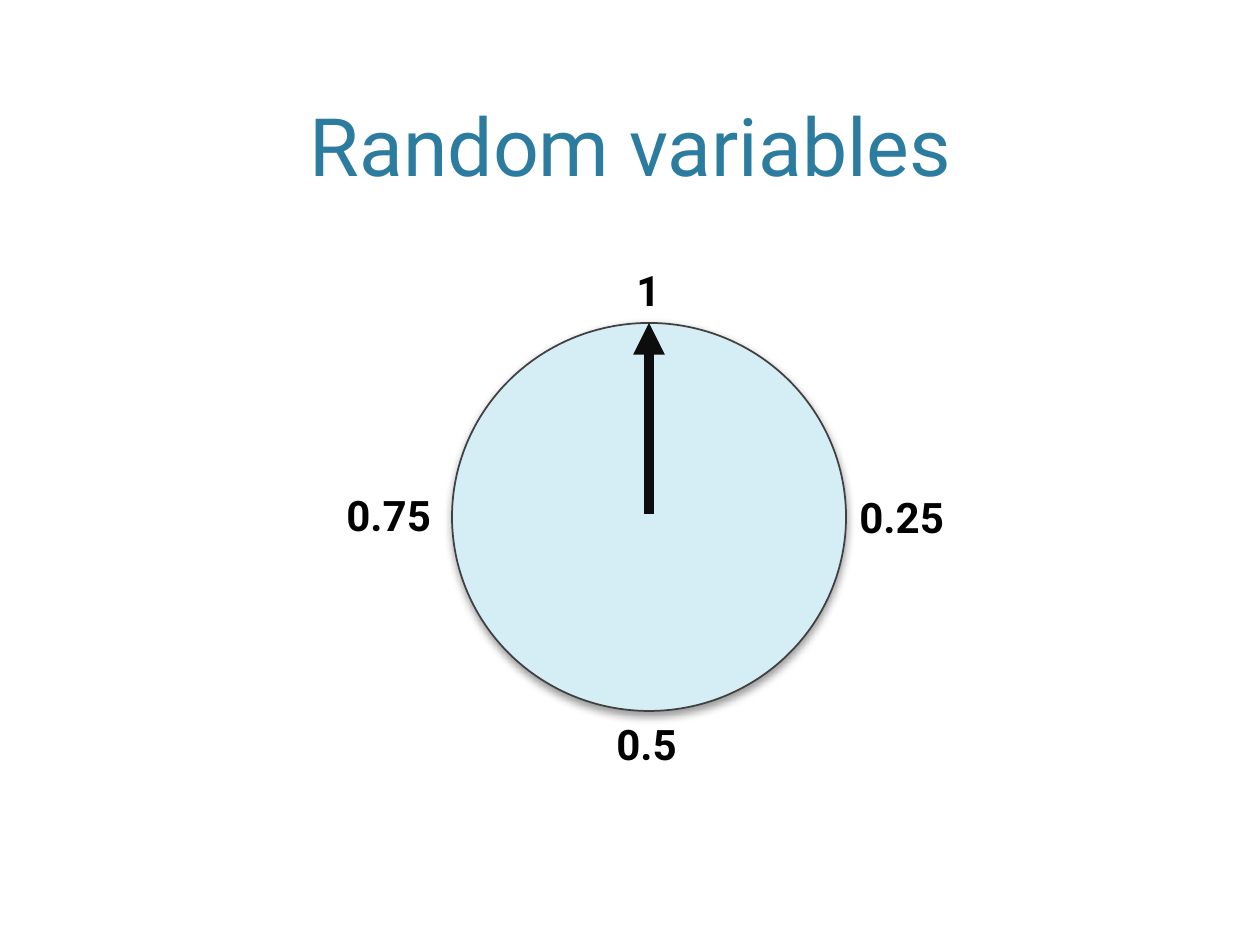
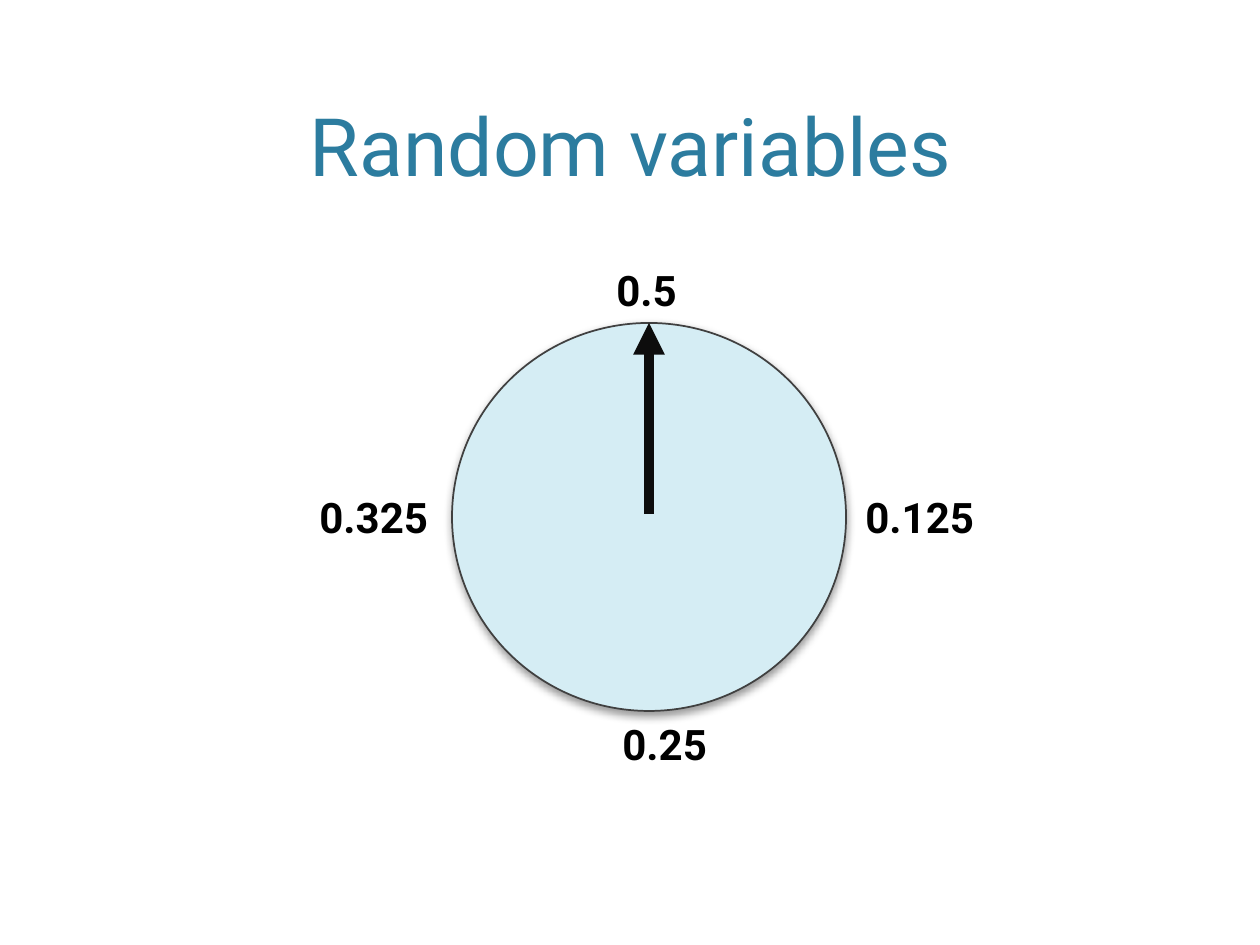
"""Build two slides that show a spinner dial with different scales."""
import pptx
import pptx.dml.color
import pptx.enum.dml
import pptx.enum.shapes
import pptx.enum.text
import pptx.oxml
import pptx.oxml.ns
import pptx.util

PX = 914400 / 126
FONT = "Roboto"
COLOURS = {"title": "2C7C9F", "dial": "D5EDF4", "rim": "404040",
           "hand": "0D0D0D", "label": "000000", "page": "FFFFFF"}
TITLE = "Random variables"
TITLE_BOX = (76, 15, 1109, 184)
DIAL_BOX = (452, 323, 394, 388)
HAND = (649, 514, 649, 323)
LABEL_HEIGHT = 63
LABEL_WIDTHS = {1: 52, 3: 92, 4: 118, 5: 145}
SCALES = [
    [("1", 624, 258), ("0.25", 847, 485), ("0.5", 604, 712), ("0.75", 334, 483)],
    [("0.5", 604, 258), ("0.125", 853, 485), ("0.25", 610, 712), ("0.325", 307, 485)],
]
DIAL_SHADOW = """<a:outerShdw %s blurRad="63500" dist="25400" dir="5400000" rotWithShape="0">
<a:srgbClr val="000000"><a:alpha val="40000"/></a:srgbClr></a:outerShdw>""" % pptx.oxml.ns.nsdecls("a")


def emu(*lengths):
    return [pptx.util.Emu(round(length * PX)) for length in lengths]


def paint(colour_format, name):
    colour_format.rgb = pptx.dml.color.RGBColor.from_string(COLOURS[name])


def paint_fill(fill, name):
    fill.solid()
    paint(fill.fore_color, name)


def style_text(frame, text, size, colour, bold=False):
    frame.text = text
    font = frame.paragraphs[0].runs[0].font
    font.name, font.size, font.bold = FONT, pptx.util.Pt(size), bold
    paint(font.color, colour)


def add_title(slide):
    title = slide.shapes.title
    title.left, title.top, title.width, title.height = emu(*TITLE_BOX)
    frame = title.text_frame
    style_text(frame, TITLE, 46, "title")
    frame.auto_size = pptx.enum.text.MSO_AUTO_SIZE.NONE
    frame.vertical_anchor = pptx.enum.text.MSO_ANCHOR.BOTTOM
    frame.paragraphs[0].alignment = pptx.enum.text.PP_ALIGN.CENTER


def add_dial(slide):
    dial = slide.shapes.add_shape(pptx.enum.shapes.MSO_SHAPE.OVAL, *emu(*DIAL_BOX))
    paint_fill(dial.fill, "dial")
    paint(dial.line.color, "rim")
    dial.line.width = pptx.util.Pt(1)
    dial.shadow.inherit = False
    effects = dial.element.spPr.find(pptx.oxml.ns.qn("a:effectLst"))
    effects.append(pptx.oxml.parse_xml(DIAL_SHADOW))


def add_hand(slide):
    hand = slide.shapes.add_connector(pptx.enum.shapes.MSO_CONNECTOR.STRAIGHT, *emu(*HAND))
    paint(hand.line.color, "hand")
    hand.line.width = pptx.util.Pt(6)
    outline = hand.line._get_or_add_ln()
    outline.append(outline.makeelement(pptx.oxml.ns.qn("a:tailEnd"), {"type": "triangle"}))
    properties = hand.element.spPr
    properties.append(properties.makeelement(pptx.oxml.ns.qn("a:effectLst"), {}))


def add_label(slide, value, left, top):
    label = slide.shapes.add_textbox(*emu(left, top, LABEL_WIDTHS[len(value)], LABEL_HEIGHT))
    frame = label.text_frame
    frame.word_wrap = False
    frame.auto_size = pptx.enum.text.MSO_AUTO_SIZE.SHAPE_TO_FIT_TEXT
    style_text(frame, value, 24, "label", bold=True)


def main():
    deck = pptx.Presentation()
    deck.slide_width, deck.slide_height = emu(1260, 945)
    for scale in SCALES:
        slide = deck.slides.add_slide(deck.slide_layouts[5])
        paint_fill(slide.background.fill, "page")
        add_title(slide)
        add_dial(slide)
        add_hand(slide)
        for value, left, top in scale:
            add_label(slide, value, left, top)
    deck.save("out.pptx")


if __name__ == "__main__":
    main()
